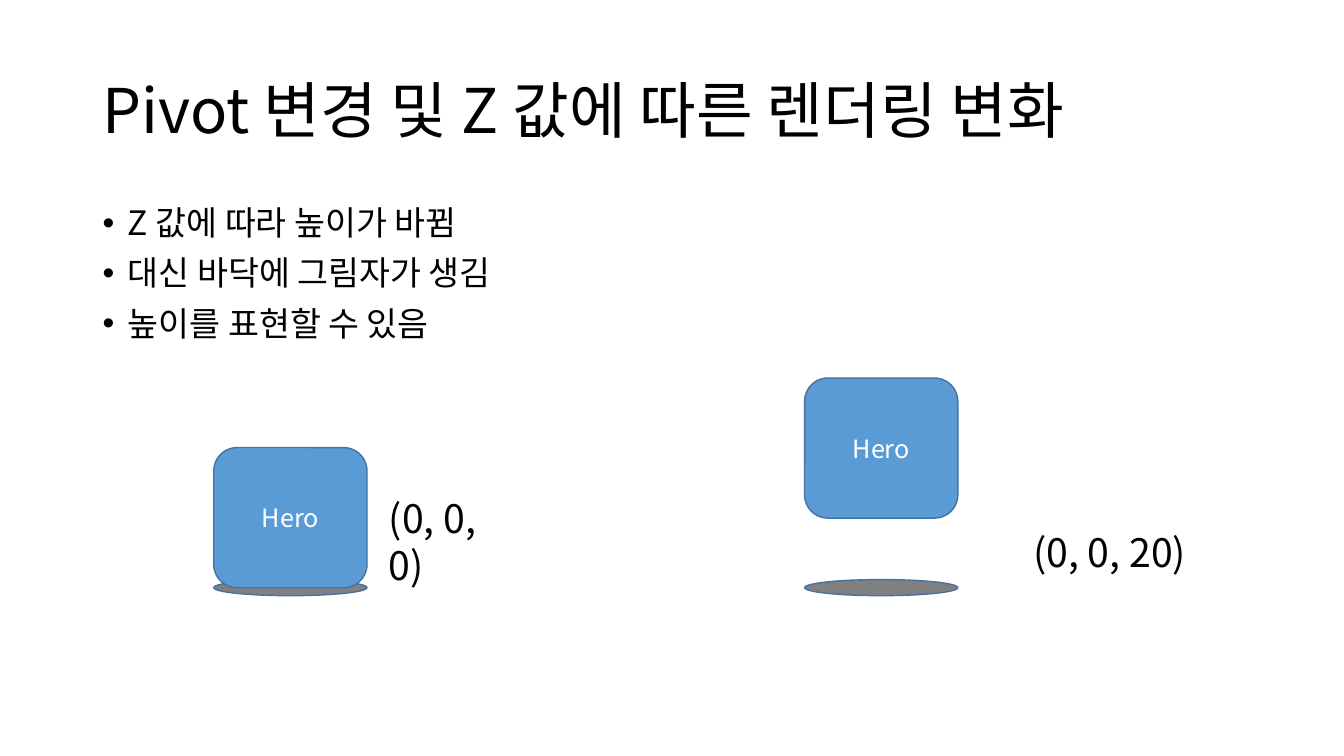
"""Build the slide on how pivot and Z value change where a hero is drawn."""
from dataclasses import dataclass

from lxml.etree import SubElement
from pptx import Presentation
from pptx.dml.color import RGBColor
from pptx.enum.shapes import MSO_SHAPE as Preset
from pptx.enum.text import MSO_ANCHOR as Anchor, PP_ALIGN as Align
from pptx.oxml.ns import qn
from pptx.shapes.autoshape import Shape
from pptx.slide import Slide
from pptx.text.text import _Paragraph as Paragraph
from pptx.util import Inches, Pt

FONT = "Noto Sans CJK KR"
COLORS = {"text": "000000", "hero": "5B9BD5", "outline": "43739E",
          "shadow": "808080", "hero_text": "FFFFFF"}
HERO_WIDTH, HERO_HEIGHT = 1.52, 1.39
SHADOW_TOP, SHADOW_HEIGHT = 5.75, 0.16
TITLE = "Pivot 변경 및 Z 값에 따른 렌더링 변화"
BULLETS = ("Z 값에 따라 높이가 바뀜", "대신 바닥에 그림자가 생김", "높이를 표현할 수 있음")


@dataclass(frozen=True)
class Box:
    left: float
    top: float
    width: float
    height: float

    def lengths(self) -> tuple:
        return tuple(Inches(n) for n in (self.left, self.top, self.width, self.height))


@dataclass(frozen=True)
class Hero:
    left: float
    top: float
    position: str
    position_box: Box


HEROES = (
    Hero(2.12, 4.44, "(0, 0, 0)", Box(3.76, 4.85, 1.46, 0.57)),
    Hero(7.98, 3.75, "(0, 0, 20)", Box(10.15, 5.19, 1.72, 0.57)),
)


def add_run(paragraph: Paragraph, text: str, size: int, color: str = "text") -> None:
    run = paragraph.add_run()
    run.text = text
    run.font.size = Pt(size)
    run.font.name = FONT
    run.font.color.rgb = RGBColor.from_string(COLORS[color])
    SubElement(run.font._element, qn("a:ea"), typeface=FONT)


def add_text_box(slide: Slide, box: Box) -> Shape:
    shape = slide.shapes.add_textbox(*box.lengths())
    shape.text_frame.word_wrap = True
    return shape


def add_preset(slide: Slide, preset: Preset, box: Box, fill: str) -> Shape:
    shape = slide.shapes.add_shape(preset, *box.lengths())
    shape.shadow.inherit = False
    shape.fill.solid()
    shape.fill.fore_color.rgb = RGBColor.from_string(COLORS[fill])
    shape.line.color.rgb = RGBColor.from_string(COLORS["outline"])
    shape.line.width = Pt(1)
    return shape


def add_title(slide: Slide) -> None:
    frame = add_text_box(slide, Box(0.92, 0.4, 11.5, 1.45)).text_frame
    frame.vertical_anchor = Anchor.MIDDLE
    paragraph = frame.paragraphs[0]
    paragraph.line_spacing = 0.9
    add_run(paragraph, TITLE, 44)


def add_bullets(slide: Slide) -> None:
    frame = add_text_box(slide, Box(0.92, 2, 11.5, 4.76)).text_frame
    for index, text in enumerate(BULLETS):
        paragraph = frame.add_paragraph() if index else frame.paragraphs[0]
        paragraph.line_spacing = 0.9
        paragraph.space_before = Pt(10)
        properties = paragraph._p.get_or_add_pPr()
        properties.set("marL", str(Inches(0.25)))
        properties.set("indent", str(Inches(-0.25)))
        SubElement(properties, qn("a:buFont"), typeface="Arial")
        SubElement(properties, qn("a:buChar"), char="•")
        add_run(paragraph, text, 24)


def add_hero(slide: Slide, hero: Hero) -> None:
    shadow_box = Box(hero.left, SHADOW_TOP, HERO_WIDTH, SHADOW_HEIGHT)
    add_preset(slide, Preset.OVAL, shadow_box, "shadow")
    body_box = Box(hero.left, hero.top, HERO_WIDTH, HERO_HEIGHT)
    body = add_preset(slide, Preset.ROUNDED_RECTANGLE, body_box, "hero")
    body.text_frame.vertical_anchor = Anchor.MIDDLE
    paragraph = body.text_frame.paragraphs[0]
    paragraph.alignment = Align.CENTER
    add_run(paragraph, "Hero", 18, "hero_text")
    label = add_text_box(slide, hero.position_box)
    add_run(label.text_frame.paragraphs[0], hero.position, 28)


def main() -> None:
    presentation = Presentation()
    presentation.slide_width = Inches(13.33)
    presentation.slide_height = Inches(7.5)
    slide = presentation.slides.add_slide(presentation.slide_layouts[6])
    add_title(slide)
    add_bullets(slide)
    for hero in HEROES:
        add_hero(slide, hero)
    presentation.save("out.pptx")


if __name__ == "__main__":
    main()
